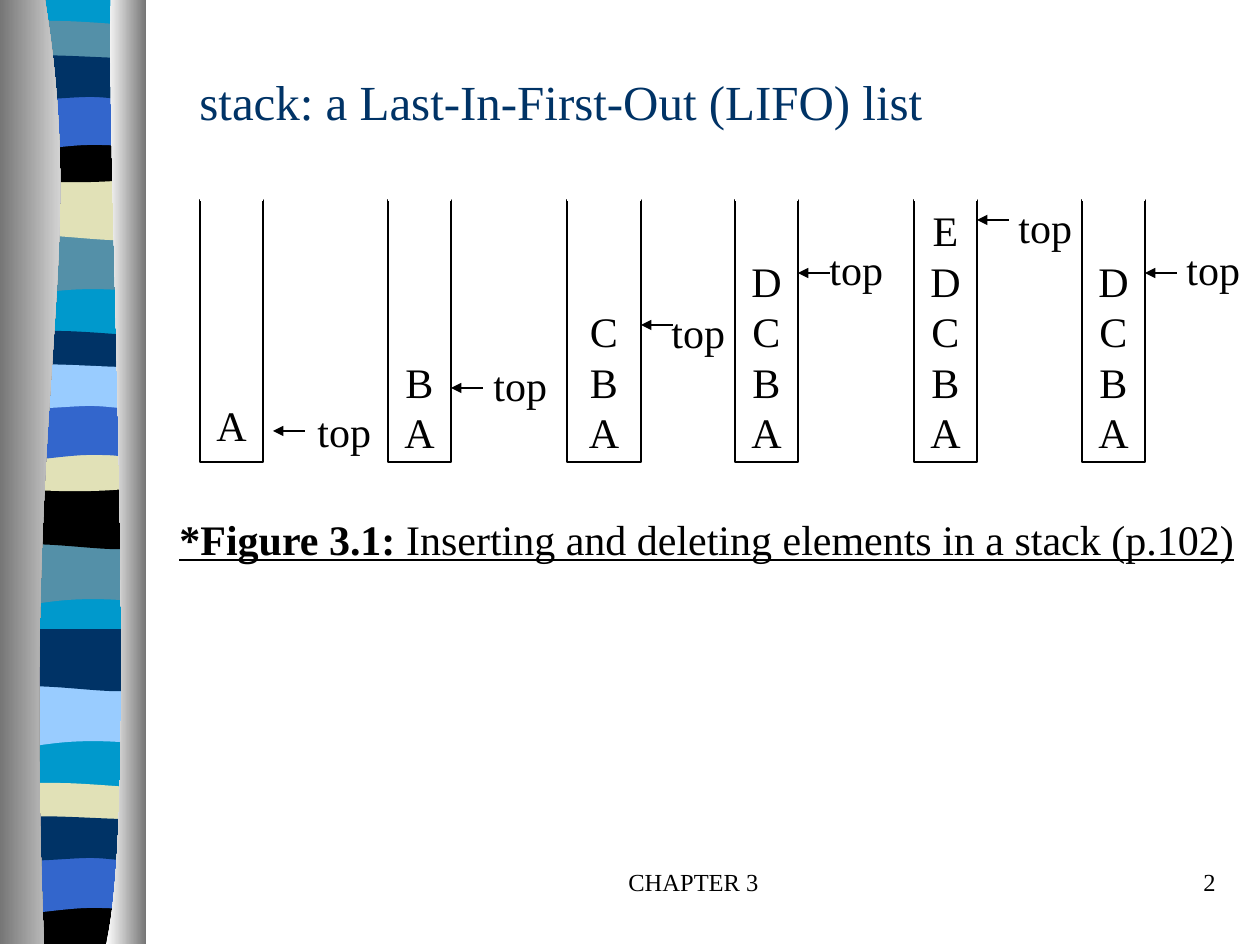
from lxml import etree
from pptx import Presentation
from pptx.dml.color import RGBColor
from pptx.enum.shapes import MSO_CONNECTOR as Connector, MSO_SHAPE as Shape
from pptx.enum.text import MSO_ANCHOR as Anchor, PP_ALIGN as Align
from pptx.oxml.ns import qn
from pptx.util import Pt

EMU_PER_PX = 914400 / 126
FONT = "Times New Roman"
BLACK = RGBColor(0x00, 0x00, 0x00)
WHITE = RGBColor(0xFF, 0xFF, 0xFF)
GREY = RGBColor(0x76, 0x76, 0x76)
NAVY = RGBColor(0x00, 0x33, 0x66)
BLUE = RGBColor(0x33, 0x66, 0xCC)
CYAN = RGBColor(0x00, 0x99, 0xCC)
TEAL = RGBColor(0x54, 0x90, 0xA8)
SKY = RGBColor(0x99, 0xCC, 0xFF)
CREAM = RGBColor(0xE1, 0xE1, 0xB7)

# Band edges from left to right: two points are straight, more are cubic Beziers.
FLAT = [(0, 0), (136, 0)]
HUMP = [(0, 0), (8, -6), (29, -5), (52, -5), (74, -5), (118, -1), (136, 0)]
RISE = [(0, 0), (19, -6), (92, 0), (115, 0), (138, 0), (132, 0), (136, 0)]
DIPS = [(0, 0), (14, 6), (60, 0), (83, 0), (106, 0), (127, 6), (136, 0)]
CREST = [(0, 0), (20, 0), (60, -7), (83, -7), (106, -7), (115, -7), (136, 0)]
SAG = [(0, 0), (83, 6), (107, 0), (136, 0)]
DISH = [(0, 0), (23, 5), (113, 5), (136, 0)]
BOWL = [(0, 0), (23, 7), (113, 7), (136, 0)]
SWELL = [(0, 0), (42, -7), (113, 10), (136, 0)]
SWAY = [(0, 0), (23, 10), (42, -10), (136, 0)]

# Band forms: top edge, bottom edge, height.
SWAYING = (FLAT, SWAY, 59)
SWELLING = (FLAT, SWELL, 59)
HUMPED = (HUMP, DISH, 31)
SAGGING = (SAG, BOWL, 41)
CRESTED = (FLAT, CREST, 59)
RISING = (RISE, DIPS, 39)
FOOT = (SAG, FLAT, 47)

BANDS = [
    (0, (FLAT, FLAT, 941), CYAN),
    (233, SWAYING, TEAL), (178, SWELLING, CREAM), (26, HUMPED, TEAL),
    (136, SAGGING, BLACK), (93, CRESTED, BLUE), (58, RISING, NAVY),
    (543, SWAYING, TEAL), (487, SWELLING, BLACK), (336, HUMPED, NAVY),
    (445, SAGGING, CREAM), (403, CRESTED, BLUE), (367, RISING, SKY),
    (685, SWAYING, SKY), (629, SWELLING, NAVY), (788, HUMPED, CREAM),
    (897, FOOT, BLACK), (856, CRESTED, BLUE), (819, RISING, NAVY),
]

# Stack letters, left, width, floor gap, arrow (x, y) and label (x, y) from the stack's top left.
STACKS = [
    ("A", 200, 63, 12, (73, 231), (105, 199)),
    ("BA", 388, 63, 5, (63, 188), (93, 153)),
    ("CBA", 567, 74, 5, (74, 125), (92, 100)),
    ("DCBA", 735, 63, 5, (63, 73), (82, 37)),
    ("EDCBA", 914, 63, 5, (63, 20), (92, -5)),
    ("DCBA", 1082, 63, 5, (63, 73), (92, 37)),
]


def px(length):
    return round(length * EMU_PER_PX)


def shift(edge, left, top):
    return [(left + x, top + y) for x, y in edge]


def add_outline(page, edges):
    """Draw a closed outline from edges, bending those of four or more points."""
    start, *others = [(px(x), px(y)) for edge in edges for x, y in edge]
    builder = page.shapes.build_freeform(*start)
    builder.add_line_segments(others, close=True)
    outline = builder.convert_to_shape()
    lines = list(outline._element.iter(qn("a:lnTo")))
    offset = 0
    for edge in edges:
        if len(edge) > 2:
            for first in range(offset, offset + len(edge) - 1, 3):
                curve = etree.Element(qn("a:cubicBezTo"))
                lines[first].addprevious(curve)
                for line in lines[first:first + 3]:
                    curve.append(line[0])
                    line.getparent().remove(line)
        offset += len(edge)
    outline.shadow.inherit = False
    outline.line.fill.background()
    return outline


def add_pillar(page, edges, start_color, end_color):
    pillar = add_outline(page, edges)
    pillar.fill.gradient()
    pillar.fill.gradient_angle = 0
    for stop, color in zip(pillar.fill.gradient_stops, (start_color, end_color)):
        stop.color.rgb = color


def add_ribbon(page, left, top, width, height):
    """Wavy colour bands between two pillars."""
    for level, (upper, lower, depth), color in BANDS:
        band_left, band_top = left + 7, top + level
        band = add_outline(page, [shift(upper, band_left, band_top),
                                  shift(lower, band_left, band_top + depth)[::-1]])
        band.fill.solid()
        band.fill.fore_color.rgb = color
    inner = [(45, 0), (89, 272), (21, 373), (44, height)]
    outer = [(0, height), (0, 0)]
    add_pillar(page, [shift(inner, left, top), shift(outer, left, top)], GREY, WHITE)
    inner = [(111, 0), (106, 158), (140, 814), (106, height)]
    outer = [(width, height), (width, 0)]
    add_pillar(page, [shift(inner, left, top), shift(outer, left, top)], WHITE, GREY)


def add_run(para, text, size, color=BLACK, bold=False, underline=False):
    span = para.add_run()
    span.text = text
    span.font.name = FONT
    span.font.size = Pt(size)
    span.font.color.rgb = color
    span.font.bold = bold
    span.font.underline = underline


def add_text(page, left, top, width, height, align=Align.LEFT):
    """Add an unwrapped text box and return its paragraph."""
    box = page.shapes.add_textbox(px(left), px(top), px(width), px(height))
    box.text_frame.word_wrap = False
    para = box.text_frame.paragraphs[0]
    para.alignment = align
    return para


def add_line(page, x1, y1, x2, y2, color, arrow=False):
    line = page.shapes.add_connector(Connector.STRAIGHT, px(x1), px(y1), px(x2), px(y2))
    line.line.color.rgb = color
    line.line.width = Pt(0.75)
    if arrow:
        etree.SubElement(line.line._get_or_add_ln(), qn("a:tailEnd"), type="triangle")
    etree.SubElement(line._element.spPr, qn("a:effectLst"))


def add_stack(page, left, top, width, height, letters, floor_gap, arrow, label):
    """An open-topped stack with an arrow and a label at its top element."""
    box = page.shapes.add_shape(Shape.RECTANGLE, px(left), px(top), px(width), px(height))
    box.shadow.inherit = False
    box.fill.background()
    box.line.color.rgb = BLACK
    box.line.width = Pt(0.75)
    frame = box.text_frame
    frame.vertical_anchor = Anchor.BOTTOM
    frame.margin_left = frame.margin_right = frame.margin_top = 0
    frame.margin_bottom = px(floor_gap)
    for index, letter in enumerate(letters):
        para = frame.add_paragraph() if index else frame.paragraphs[0]
        para.alignment = Align.CENTER
        add_run(para, letter, 24)
    add_line(page, left, top, left + width, top, WHITE)
    tip_x, tip_y = left + arrow[0], top + arrow[1]
    add_line(page, tip_x + 32, tip_y, tip_x, tip_y, BLACK, arrow=True)
    add_run(add_text(page, left + label[0], top + label[1], 82, 63), "top", 24)


def add_footer(page, left, top, width, height):
    add_run(add_text(page, left, top, 399, height, Align.CENTER), "CHAPTER 3", 14)
    add_run(add_text(page, left + width - 262, top, 262, height, Align.RIGHT), "2", 14)


def main():
    deck = Presentation()
    deck.slide_width, deck.slide_height = px(1260), px(945)
    page = deck.slides.add_slide(deck.slide_layouts[6])
    add_ribbon(page, 0, 0, 146, 944)
    add_run(add_text(page, 187, 65, 760, 72),
            "stack: a Last-In-First-Out (LIFO) list", 28, NAVY)
    for letters, left, width, floor_gap, arrow, label in STACKS:
        add_stack(page, left, 200, width, 262, letters, floor_gap, arrow, label)
    caption = add_text(page, 167, 507, 1080, 63)
    add_run(caption, "*Figure 3.1: ", 24, bold=True, underline=True)
    add_run(caption, "Inserting and deleting elements in a stack (p.102)", 24, underline=True)
    add_footer(page, 494, 861, 734, 63)
    deck.save("out.pptx")


if __name__ == "__main__":
    main()
